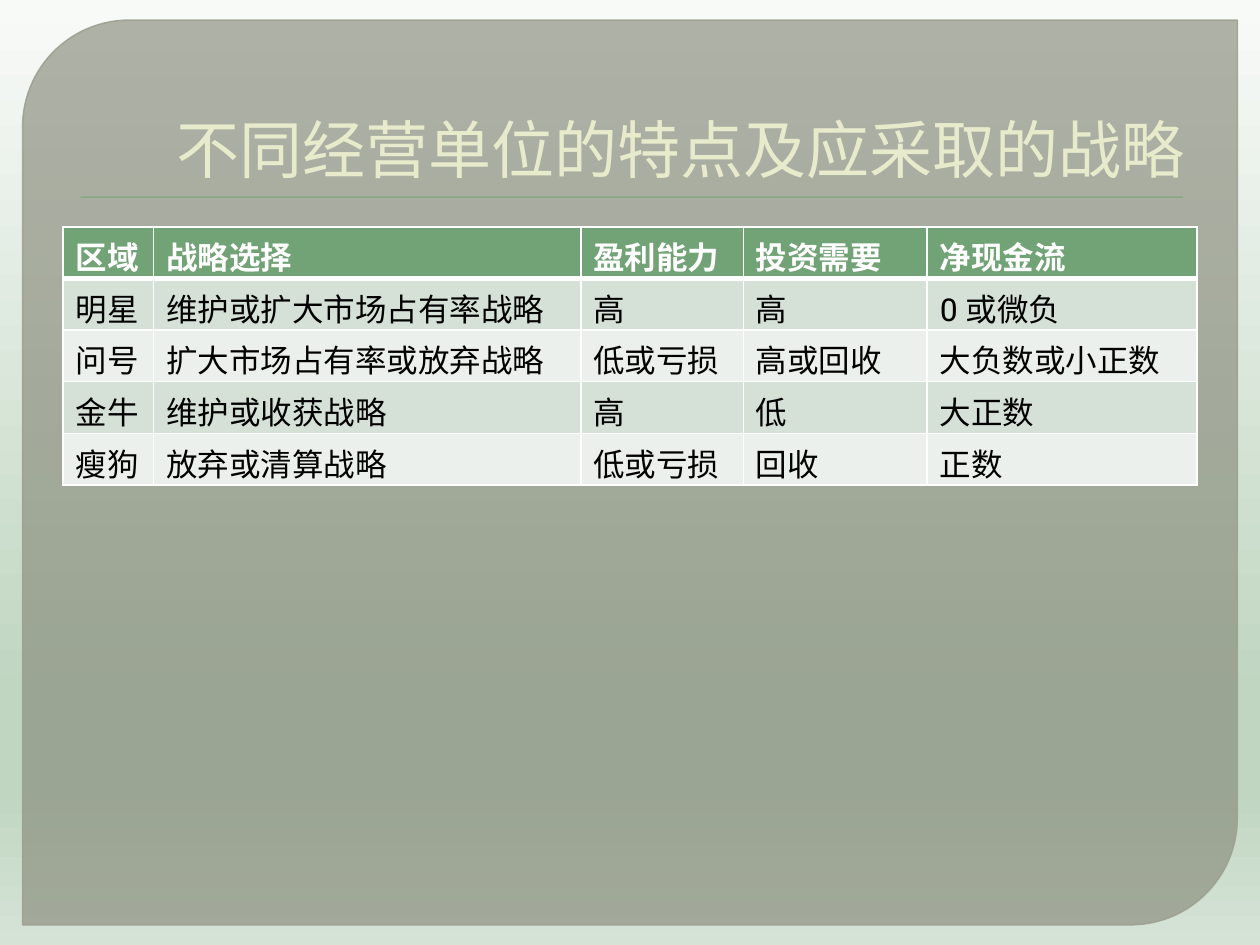
from dataclasses import dataclass

from lxml.etree import SubElement
from pptx import Presentation
from pptx.dml.color import RGBColor
from pptx.enum.shapes import MSO_SHAPE as Form
from pptx.enum.text import MSO_ANCHOR as Anchor, PP_ALIGN as Align
from pptx.oxml.ns import qn
from pptx.util import Inches, Pt

FONT = "Roboto Slab"
WHITE = RGBColor(0xFF, 0xFF, 0xFF)
BLACK = RGBColor(0, 0, 0)
GREEN = RGBColor(0x72, 0xA3, 0x76)
CREAM = RGBColor(0xE7, 0xEA, 0xCB)
OLIVE = RGBColor(0x88, 0x8B, 0x7B)
EDGE = RGBColor(0x9D, 0xA0, 0x90)
BANDS = (RGBColor(0xEB, 0xF0, 0xEC), RGBColor(0xD5, 0xE0, 0xD6))
STOPS = ((0, "F8FAF8"), (74, "C0D6C1"), (83, "C0D6C1"), (100, "D5E3D6"))

TITLE = "不同经营单位的特点及应采取的战略"
WIDTHS = (0.72, 3.39, 1.29, 1.46, 2.14)
HEIGHT = 0.41
ROWS = (
    ("区域", "战略选择", "盈利能力", "投资需要", "净现金流"),
    ("明星", "维护或扩大市场占有率战略", "高", "高", "0 或微负"),
    ("问号", "扩大市场占有率或放弃战略", "低或亏损", "高或回收", "大负数或小正数"),
    ("金牛", "维护或收获战略", "高", "低", "大正数"),
    ("瘦狗", "放弃或清算战略", "低或亏损", "回收", "正数"),
)


@dataclass
class Box:
    left: float
    top: float
    width: float
    height: float

    def place(self) -> tuple:
        return tuple(map(Inches, (self.left, self.top, self.width, self.height)))


@dataclass
class Look:
    size: int
    color: RGBColor
    bold: bool = False


def write(para, text: str, look: Look) -> None:
    run = para.add_run()
    run.text = text
    values = {"name": FONT, "size": Pt(look.size), "bold": look.bold}
    for key, value in values.items():
        setattr(run.font, key, value)
    run.font.color.rgb = look.color


def child(parent, tag: str, **values):
    return SubElement(parent, qn(tag), {key: str(val) for key, val in values.items()})


def fade(fill, percent: int) -> None:
    color = fill._xPr.find(".//" + qn("a:srgbClr"))
    child(color, "a:alpha", val=percent * 1000)


def paint(slide) -> None:
    fill = slide.background.fill
    fill.gradient()
    fill.gradient_angle = 270
    stops = fill._xPr.find(".//" + qn("a:gsLst"))
    for stop in list(stops):
        stops.remove(stop)
    for spot, color in STOPS:
        stop = child(stops, "a:gs", pos=spot * 1000)
        child(stop, "a:srgbClr", val=color)


def block(slide, form, box: Box, color: RGBColor):
    shape = slide.shapes.add_shape(form, *box.place())
    shape.shadow.inherit = False
    shape.fill.solid()
    shape.fill.fore_color.rgb = color
    return shape


def panel(slide, box: Box) -> None:
    shape = block(slide, Form.ROUND_2_DIAG_RECTANGLE, box, OLIVE)
    shape.adjustments[0] = 0.118
    shape.adjustments[1] = 0
    fade(shape.fill, 65)
    shape.line.width = Pt(0.87)
    shape.line.color.rgb = EDGE
    fade(shape.line.fill, 88)


def rule(slide, box: Box) -> None:
    shape = block(slide, Form.RECTANGLE, box, GREEN)
    shape.line.fill.background()
    effects = shape._element.spPr.find(qn("a:effectLst"))
    shade = child(effects, "a:outerShdw", blurRad=Pt(1), dist=Pt(1), dir=90 * 60000)
    color = child(shade, "a:srgbClr", val=BLACK)
    child(color, "a:alpha", val=75000)


def title(slide, box: Box) -> None:
    frame = slide.shapes.add_textbox(*box.place()).text_frame
    for key, value in {"word_wrap": True, "vertical_anchor": Anchor.BOTTOM}.items():
        setattr(frame, key, value)
    para = frame.paragraphs[0]
    para.alignment = Align.RIGHT
    para._p.get_or_add_pPr().set("marL", str(Inches(0.06)))
    write(para, TITLE, Look(36, CREAM))


def border(cell, row: int) -> None:
    props = cell._tc.get_or_add_tcPr()
    widths = {"L": 1, "R": 1, "T": 3 if row == 1 else 1, "B": 3 if row == 0 else 1}
    for side, width in widths.items():
        line = child(props, "a:ln" + side, w=Pt(width))
        child(child(line, "a:solidFill"), "a:srgbClr", val=WHITE)


def grid(slide, box: Box) -> None:
    table = slide.shapes.add_table(len(ROWS), len(WIDTHS), *box.place()).table
    for col, width in zip(table.columns, WIDTHS):
        col.width = Inches(width)
    for row, texts in enumerate(ROWS):
        table.rows[row].height = Inches(HEIGHT)
        head = row == 0
        look = Look(18, WHITE if head else BLACK, head)
        for col, text in enumerate(texts):
            cell = table.cell(row, col)
            border(cell, row)
            cell.fill.solid()
            cell.fill.fore_color.rgb = GREEN if head else BANDS[row % 2]
            write(cell.text_frame.paragraphs[0], text, look)


def main() -> None:
    deck = Presentation()
    deck.slide_width, deck.slide_height = Inches(10), Inches(7.5)
    slide = deck.slides.add_slide(deck.slide_layouts[6])
    paint(slide)
    panel(slide, Box(0.18, 0.16, 9.64, 7.18))
    rule(slide, Box(0.64, 1.56, 8.75, 0.01))
    title(slide, Box(0.5, 0.28, 9, 1.25))
    grid(slide, Box(0.5, 1.8, sum(WIDTHS), HEIGHT * len(ROWS)))
    deck.save("out.pptx")


if __name__ == "__main__":
    main()
